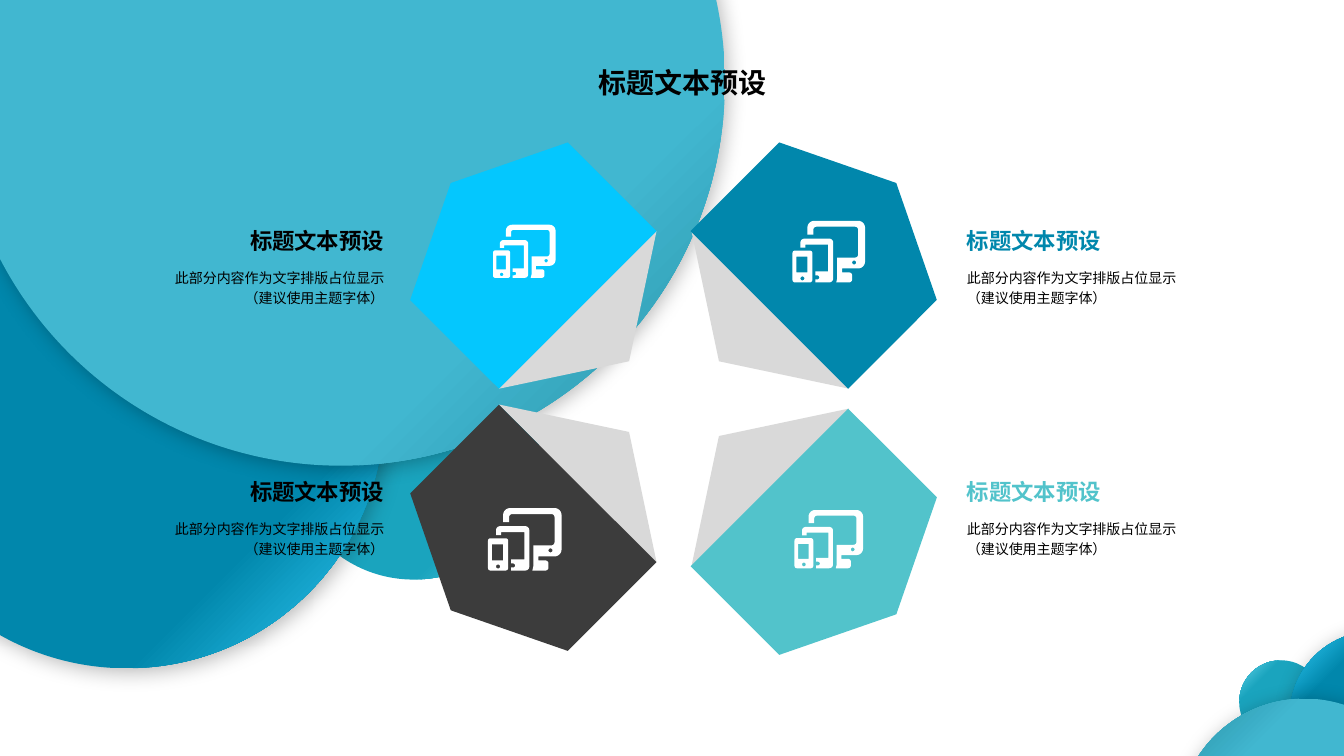
from dataclasses import dataclass
from math import cos, dist, radians, sin

from lxml import etree
from pptx import Presentation
from pptx.dml.color import RGBColor
from pptx.enum.shapes import MSO_SHAPE
from pptx.enum.text import MSO_ANCHOR, PP_ALIGN
from pptx.oxml import parse_xml
from pptx.oxml.ns import nsdecls, qn
from pptx.util import Inches, Pt

OVAL, TRIANGLE, PENTAGON = MSO_SHAPE.OVAL, MSO_SHAPE.ISOSCELES_TRIANGLE, MSO_SHAPE.PENTAGON
LEFT, CENTER, RIGHT = PP_ALIGN.LEFT, PP_ALIGN.CENTER, PP_ALIGN.RIGHT
TOP, MIDDLE = MSO_ANCHOR.TOP, MSO_ANCHOR.MIDDLE


@dataclass(frozen=True)
class Theme:
    font: str = "Noto Sans CJK SC"
    title_size: int = 20
    heading_size: int = 16
    body_size: int = 10
    black: str = "000000"
    white: str = "FFFFFF"
    fold: str = "D9D9D9"
    sky: str = "04C7FE"
    blue: str = "0187AC"
    charcoal: str = "3C3C3C"
    teal: str = "52C3CB"
    small_bubble: tuple = ("1AA4BE", "64D5EA")
    middle_bubble: tuple = ("0187AC", "36D3FE")
    large_bubble: tuple = ("41B7D0", "298FA4")


THEME = Theme()
HEADING = "标题文本预设"
BODY = "此部分内容作为文字排版占位显示\n（建议使用主题字体）"

# Device icon on a 73 x 62 grid: corners as (x, y, radius)
ICON_WIDTH = 73
ICON_OUTLINES = [
    [(8, 56, 2), (12, 56, 2), (12, 60, 2), (8, 60, 2)],
    [(60, 40, 2), (64, 40, 2), (64, 44, 2), (60, 44, 2)],
    [(4, 36, 0), (15, 36, 0), (15, 52, 0), (4, 52, 0)],
    [(0, 30, 2.5), (20, 30, 2.5), (20, 62, 2.5), (0, 62, 2.5)],
    [(8, 18, 4), (41, 18, 4), (41, 62, 4), (23, 62, 0), (23, 59, 0), (27, 59, 2),
     (27, 55, 2), (23, 55, 0), (23, 51, 0), (36, 51, 0), (36, 24, 0), (13, 24, 0),
     (13, 27, 0), (8, 27, 0)],
    [(15, 0, 7), (73, 0, 7), (73, 48, 7), (50, 48, 0), (50, 52, 0), (60, 52, 3),
     (60, 62, 3), (44, 62, 0), (45, 58, 0), (45, 37, 0), (66, 37, 3), (66, 6, 3),
     (21, 6, 3), (21, 14, 0), (15, 14, 0)],
]
ICON_PRECISION = 100


def rounded_outline(corners):
    """Turn (x, y, radius) corners into polygon points with quarter-circle corners."""
    points = []
    for index, (x, y, radius) in enumerate(corners):
        before, after = corners[index - 1], corners[(index + 1) % len(corners)]
        toward = []
        for near in (before, after):
            length = dist(near[:2], (x, y))
            toward.append(((near[0] - x) / length, (near[1] - y) / length))
        (ux, uy), (vx, vy) = toward
        for angle in range(0, 91, 15) if radius else [0]:
            u = radius * (1 - sin(radians(angle)))
            v = radius * (1 - cos(radians(angle)))
            points.append(((x + u * ux + v * vx) * ICON_PRECISION,
                           (y + u * uy + v * vy) * ICON_PRECISION))
    return points


def add_text(page, place, text, size, color, align, anchor, bold=True, margins=None, spacing=None):
    box = page.shapes.add_textbox(*map(Inches, place))
    frame = box.text_frame
    frame.word_wrap = not bold
    frame.vertical_anchor = anchor
    if margins is not None:
        frame.margin_left = frame.margin_right = Inches(margins)
        frame.margin_top = frame.margin_bottom = 0
    para = frame.paragraphs[0]
    para.text = text
    para.alignment = align
    if spacing:
        para.line_spacing = spacing
    para.font.name = THEME.font
    para.font.size = Pt(size)
    para.font.bold = bold
    para.font.color.rgb = RGBColor.from_string(color)
    defaults = para._p.pPr.find(qn("a:defRPr"))
    etree.SubElement(defaults, qn("a:ea"), typeface=THEME.font)


deck = Presentation()
deck.slide_width, deck.slide_height = Inches(13.33), Inches(7.5)
page = deck.slides.add_slide(deck.slide_layouts[6])

# Background bubbles: left, top, diameter, gradient, rotation, shadow
bubbles = [
    (2.85, 3.25, 2.5, THEME.small_bubble, 0, False),
    (-1.3, 1.52, 5.11, THEME.middle_bubble, 0, True),
    (-0.43, -3, 7.62, THEME.large_bubble, 0, True),
    (12.29, 6.55, 0.83, THEME.small_bubble, 180, False),
    (12.79, 6.26, 1.69, THEME.middle_bubble, 180, True),
    (11.68, 6.93, 2.52, THEME.large_bubble, 180, True),
]
for left, top, diameter, gradient, rotation, shadowed in bubbles:
    bubble = page.shapes.add_shape(OVAL, *map(Inches, (left, top, diameter, diameter)))
    bubble.rotation = rotation
    bubble.line.fill.background()
    bubble.fill.gradient()
    bubble.fill.gradient_angle = 315
    for stop, position, color in zip(bubble.fill.gradient_stops, (0.75, 1), gradient):
        stop.position = position
        stop.color.rgb = RGBColor.from_string(color)
    bubble.shadow.inherit = False
    if shadowed:
        effects = bubble._element.spPr.find(qn("a:effectLst"))
        effects.append(parse_xml(
            f'<a:outerShdw {nsdecls("a")} blurRad="{Pt(15)}" dist="{Pt(3)}" dir="2700000" '
            f'algn="tl" rotWithShape="0"><a:srgbClr val="{THEME.black}">'
            '<a:alpha val="27000"/></a:srgbClr></a:outerShdw>'))

# Folded petals: left and top of fold and petal, rotations, colour
petals = [
    (4.88, 2.97, 135, 4.21, 1.34, 225, THEME.sky),
    (6.28, 2.97, 225, 7.37, 1.34, 315, THEME.blue),
    (4.88, 4.18, 45, 4.21, 4.32, 135, THEME.charcoal),
    (6.28, 4.22, 315, 7.37, 4.36, 45, THEME.teal),
]
for fold_left, fold_top, fold_turn, left, top, turn, color in petals:
    fold = page.shapes.add_shape(TRIANGLE, *map(Inches, (fold_left, fold_top, 2.21, 0.72)))
    petal = page.shapes.add_shape(PENTAGON, *map(Inches, (left, top, 1.78, 2.21)))
    petal.adjustments[0] = 0.301
    for shape, rotation, fill in ((fold, fold_turn, THEME.fold), (petal, turn, color)):
        shape.rotation = rotation
        shape.shadow.inherit = False
        shape.line.fill.background()
        shape.fill.solid()
        shape.fill.fore_color.rgb = RGBColor.from_string(fill)

# Captions beside the petals
captions = [
    (1.26, 2.25, 2.63, RIGHT, THEME.black),
    (9.51, 2.25, 2.69, LEFT, THEME.blue),
    (1.26, 4.74, 2.63, RIGHT, THEME.black),
    (9.51, 4.74, 2.69, LEFT, THEME.teal),
]
for left, top, width, align, color in captions:
    add_text(page, (left, top + 0.27, width, 0.64), BODY, THEME.body_size, THEME.black,
             align, MIDDLE, bold=False, margins=0.08, spacing=1.2)
    add_text(page, (left, top, width, 0.27), HEADING, THEME.heading_size, color,
             align, TOP, margins=0.08)

# Device icons: left, top, width
contours = [rounded_outline(corners) for corners in ICON_OUTLINES]
for left, top, width in [(4.84, 5.04, 0.73), (7.86, 2.19, 0.72), (4.89, 2.23, 0.62), (7.88, 5.06, 0.68)]:
    scale = Inches(width) / (ICON_WIDTH * ICON_PRECISION)
    builder = page.shapes.build_freeform(*contours[0][0], scale=scale)
    builder.add_line_segments(contours[0][1:], close=True)
    for contour in contours[1:]:
        builder.move_to(*contour[0])
        builder.add_line_segments(contour[1:], close=True)
    icon = builder.convert_to_shape(Inches(left), Inches(top))
    icon.shadow.inherit = False
    icon.line.fill.background()
    icon.fill.solid()
    icon.fill.fore_color.rgb = RGBColor.from_string(THEME.white)

add_text(page, (3.68, 0.53, 6.18, 0.58), HEADING, THEME.title_size, THEME.black, CENTER, MIDDLE)

deck.save("out.pptx")
